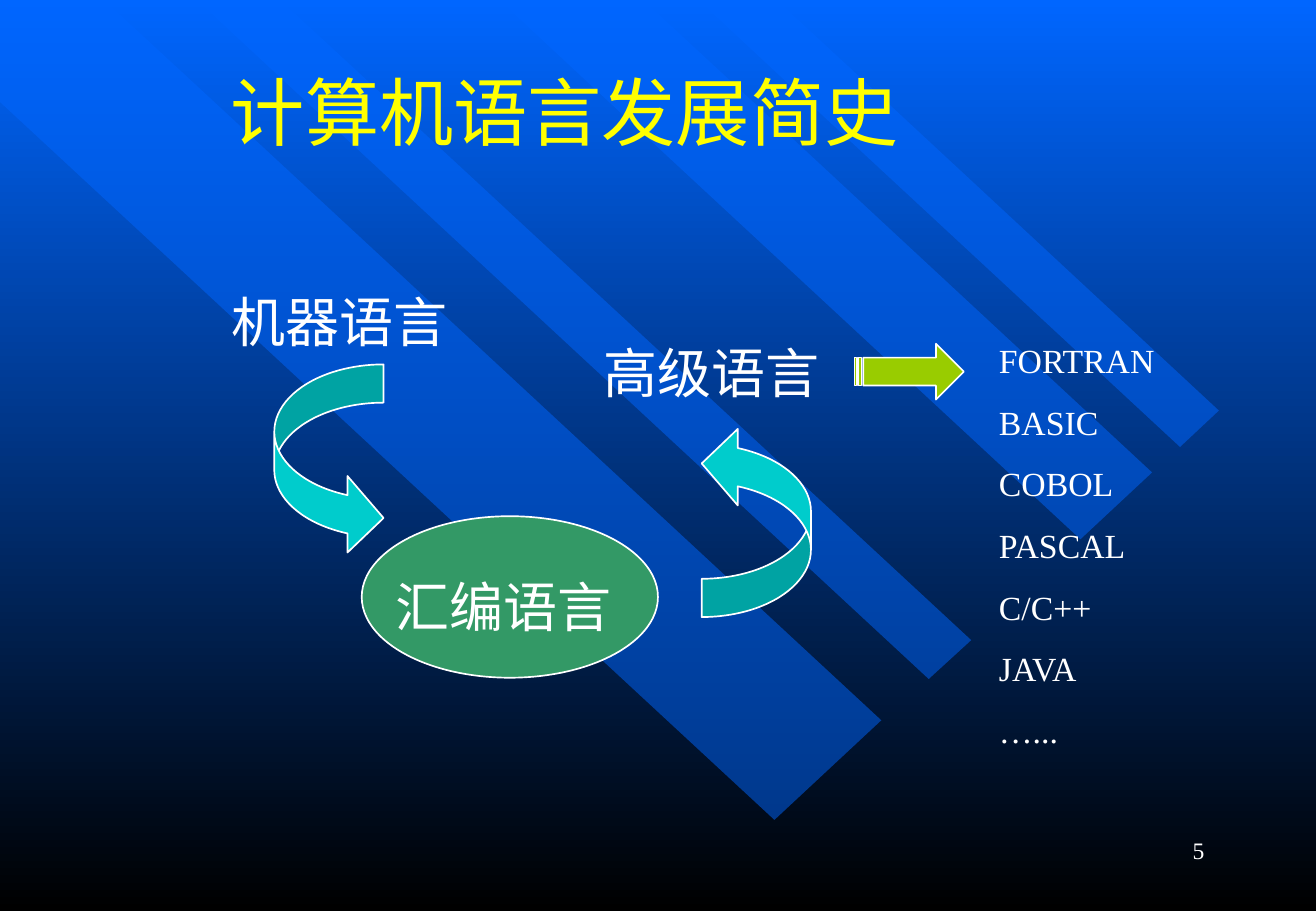
"""Build the slide on the history of computer languages."""
from lxml import etree
from pptx import Presentation
from pptx import util as u
from pptx.dml.color import RGBColor
from pptx.enum import shapes, text
from pptx.oxml.ns import qn

COLORS = {"blue": "0066FF", "black": "000000", "yellow": "FFFF00", "white": "FFFFFF",
          "green": "339966", "teal": "00CCCC", "lime": "99CC00"}
FONT = "Times New Roman"
SHAPE = shapes.MSO_SHAPE
ALIGN = text.PP_ALIGN


def rgb(name):
    return RGBColor.from_string(COLORS[name])


def write(tf, content, size=32, color="white", align=ALIGN.LEFT, before=0):
    for i, line in enumerate(content.split("\n")):
        p = tf.paragraphs[0] if i == 0 else tf.add_paragraph()
        p.alignment = align
        p.space_before = u.Pt(before)
        r = p.add_run()
        r.text = line
        r.font.name = FONT
        r.font.size = u.Pt(size)
        r.font.color.rgb = rgb(color)


class Deck:
    def __init__(self, width, height):
        self.prs = Presentation()
        self.prs.slide_width = u.Inches(width)
        self.prs.slide_height = u.Inches(height)
        self.s = self.prs.slides.add_slide(self.prs.slide_layouts[6])

    def background(self, top, bottom):
        fill = self.s.background.fill
        fill.gradient()
        fill.gradient_angle = 270
        for stop, name, position in zip(fill.gradient_stops, (top, bottom), (0, 1)):
            stop.color.rgb = rgb(name)
            stop.position = position

    def paint(self, sp, color):
        sp.shadow.inherit = False
        sp.fill.solid()
        sp.fill.fore_color.rgb = rgb(color)

    def stripe(self, points, color="blue", alpha=50):
        points = [(u.Inches(x), u.Inches(y)) for x, y in points]
        builder = self.s.shapes.build_freeform(*points[0], scale=1.0)
        builder.add_line_segments(points[1:], close=True)
        sp = builder.convert_to_shape()
        self.paint(sp, color)
        sp.line.fill.background()
        clr = sp.fill._xPr.find(qn("a:solidFill"))[0]
        etree.SubElement(clr, qn("a:alpha"), val=str(alpha * 1000))

    def shape(self, kind, box, color, rotation=0, adjust=()):
        sp = self.s.shapes.add_shape(kind, *map(u.Inches, box))
        self.paint(sp, color)
        sp.line.color.rgb = rgb("white")
        sp.line.width = u.Pt(1)
        sp.rotation = rotation
        for i, value in enumerate(adjust):
            sp.adjustments[i] = value

    def text(self, content, box, anchor=text.MSO_ANCHOR.TOP, right=0.1, **style):
        tf = self.s.shapes.add_textbox(*map(u.Inches, box)).text_frame
        tf.word_wrap = True
        tf.vertical_anchor = anchor
        tf.margin_right = u.Inches(right)
        write(tf, content, **style)


deck = Deck(10.84, 7.5)
deck.background("blue", "black")
for points in (
    [(0.86, 0), (7.26, 5.93), (6.38, 6.75), (0, 0.84), (0, 0)],
    [(2.31, 0), (8, 5.27), (7.65, 5.59), (1.62, 0)],
    [(5.3, 0), (9.49, 3.89), (8.9, 4.44), (4.11, 0)],
    [(6.4, 0), (10.04, 3.38), (9.72, 3.68), (5.75, 0)],
):
    deck.stripe(points)

deck.text("计算机语言发展简史", (0.81, 0.25, 9.21, 1.33), anchor=text.MSO_ANCHOR.MIDDLE,
          right=1.62, size=44, color="yellow", align=ALIGN.CENTER)

deck.shape(SHAPE.OVAL, (2.98, 4.25, 2.44, 1.33), "green")
for left, top, rotation in ((2.26, 3, 0), (5.78, 3.5, 180)):
    deck.shape(SHAPE.CURVED_RIGHT_ARROW, (left, top, 0.9, 1.58), "teal", rotation,
               (0.35, 0.7, 0.33))
deck.shape(SHAPE.STRIPED_RIGHT_ARROW, (7.04, 2.83, 0.9, 0.46), "lime")

for label, left, top in (("机器语言", 1.81, 2.33), ("汇编语言", 3.16, 4.67),
                         ("高级语言", 4.87, 2.75)):
    deck.text(label, (left, top, 2.17, 0.64), before=20)
deck.text("FORTRAN\nBASIC\nCOBOL\nPASCAL\nC/C++\nJAVA\n…...", (8.13, 2.75, 2.08, 3.99),
          size=20, before=12.5)
deck.text("5", (7.76, 6.83, 2.26, 0.5), size=14, align=ALIGN.RIGHT, before=8.8)

deck.prs.save("out.pptx")
